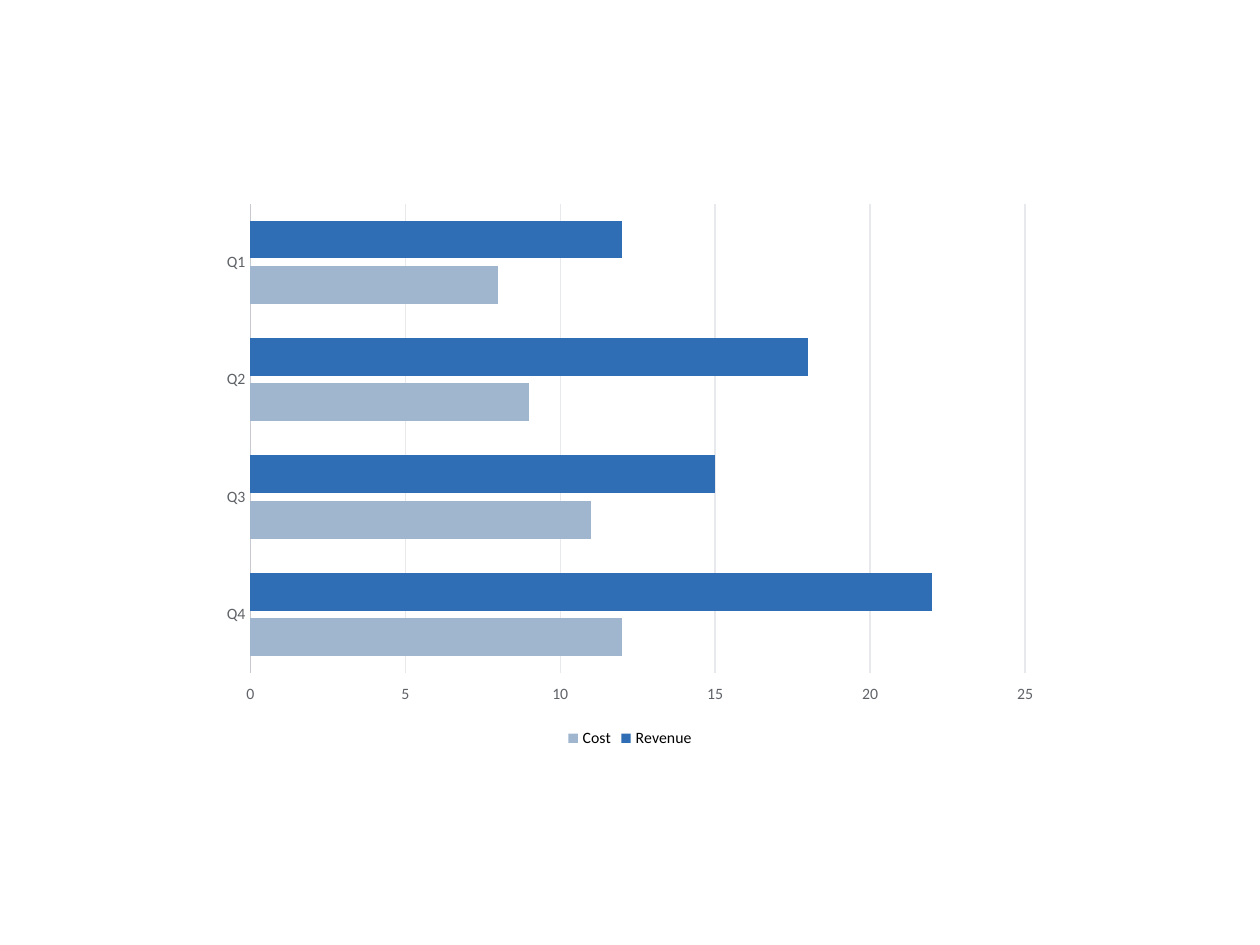
from typing import NamedTuple

from pptx import Presentation
from pptx.chart.axis import CategoryAxis, ValueAxis
from pptx.chart.data import CategoryChartData
from pptx.dml.color import RGBColor
from pptx.enum.chart import (
    XL_CHART_TYPE,
    XL_LEGEND_POSITION,
    XL_TICK_LABEL_POSITION,
    XL_TICK_MARK,
)
from pptx.text.text import Font
from pptx.util import Pt

FONT_NAME = "Calibri"
BLACK = RGBColor(0x00, 0x00, 0x00)
LABEL_GREY = RGBColor(0x5F, 0x63, 0x68)
AXIS_GREY = RGBColor(0xC7, 0xCB, 0xD1)
GRID_GREY = RGBColor(0xE7, 0xE9, 0xEC)
REVENUE_BLUE = RGBColor(0x2F, 0x6D, 0xB5)
COST_BLUE = RGBColor(0x9F, 0xB6, 0xCE)


class Measure(NamedTuple):
    name: str
    values: tuple[int, ...]
    color: RGBColor


QUARTERS = ("Q1", "Q2", "Q3", "Q4")
MEASURES = (
    Measure("Revenue", (12, 18, 15, 22), REVENUE_BLUE),
    Measure("Cost", (8, 9, 11, 12), COST_BLUE),
)


def style_font(font: Font, size: float, color: RGBColor) -> None:
    font.name = FONT_NAME
    font.size = Pt(size)
    font.color.rgb = color


def style_axis(axis: CategoryAxis | ValueAxis) -> None:
    axis.major_tick_mark = XL_TICK_MARK.NONE
    axis.minor_tick_mark = XL_TICK_MARK.NONE
    style_font(axis.tick_labels.font, 9, LABEL_GREY)


def main() -> None:
    presentation = Presentation()
    presentation.slide_width = Pt(720)
    presentation.slide_height = Pt(540)
    slide = presentation.slides.add_slide(presentation.slide_layouts[6])

    # Quarterly revenue and cost
    quarterly_data = CategoryChartData()
    quarterly_data.categories = QUARTERS
    for measure in MEASURES:
        quarterly_data.add_series(measure.name, measure.values)
    chart = slide.shapes.add_chart(
        XL_CHART_TYPE.BAR_CLUSTERED, Pt(120), Pt(110), Pt(480), Pt(320), quarterly_data
    ).chart
    chart.has_title = False
    style_font(chart.font, 10, BLACK)

    # Bars
    bars = chart.plots[0]
    bars.gap_width = 90
    bars.overlap = -20
    bars.vary_by_categories = False
    for series, measure in zip(bars.series, MEASURES):
        series.format.fill.solid()
        series.format.fill.fore_color.rgb = measure.color

    # Quarters run downwards
    quarter_axis = chart.category_axis
    style_axis(quarter_axis)
    quarter_axis.reverse_order = True
    quarter_axis.format.line.color.rgb = AXIS_GREY
    quarter_axis.format.line.width = Pt(0.75)

    # Value axis, labelled at the bottom beyond the last quarter
    amount_axis = chart.value_axis
    style_axis(amount_axis)
    amount_axis.tick_label_position = XL_TICK_LABEL_POSITION.HIGH
    amount_axis.minimum_scale = 0
    amount_axis.maximum_scale = 25
    amount_axis.major_unit = 5
    amount_axis.format.line.fill.background()
    amount_axis.has_major_gridlines = True
    gridline = amount_axis.major_gridlines.format.line
    gridline.color.rgb = GRID_GREY
    gridline.width = Pt(0.75)

    # Legend
    chart.has_legend = True
    chart.legend.position = XL_LEGEND_POSITION.BOTTOM
    chart.legend.include_in_layout = False
    style_font(chart.legend.font, 9, BLACK)

    presentation.save("out.pptx")


if __name__ == "__main__":
    main()
